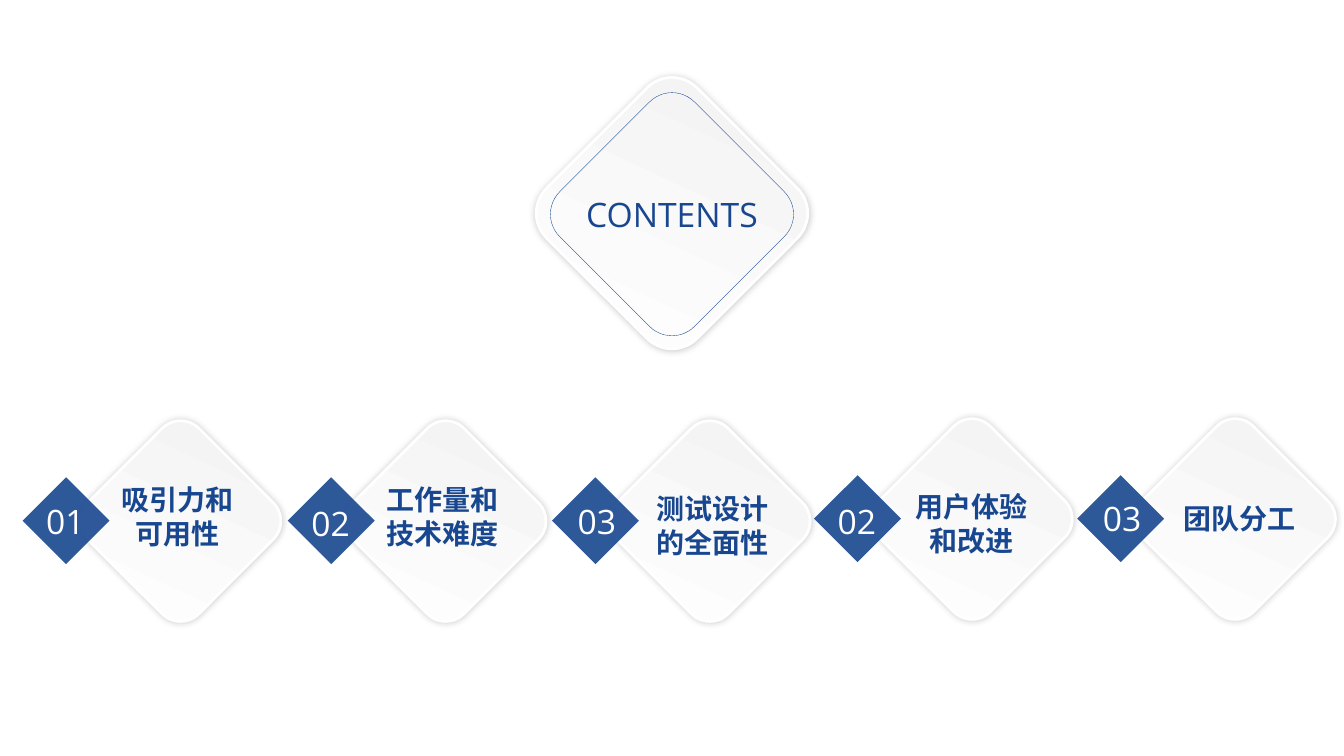
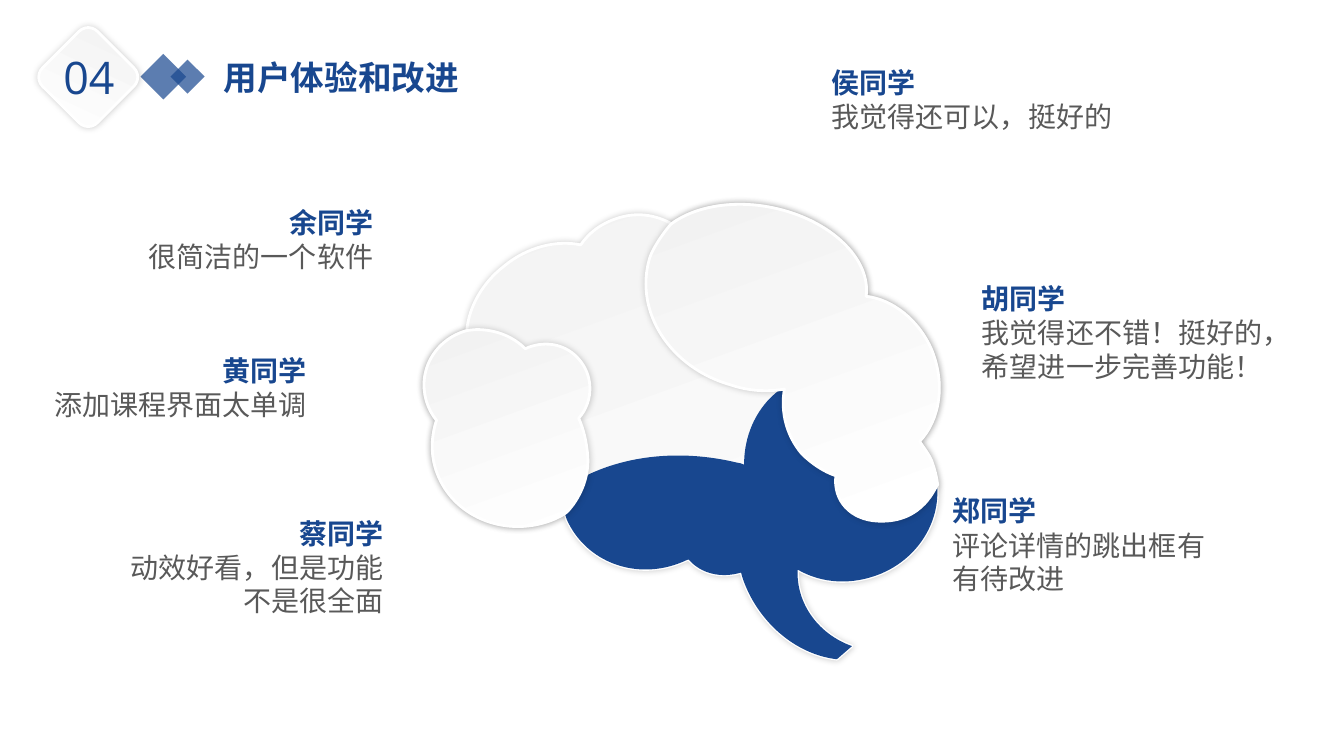
from pptx import Presentation
from pptx.dml.color import RGBColor
from pptx.enum import shapes as sh, text as tx
from pptx.oxml import parse_xml
from pptx.oxml.ns import qn
from pptx.util import Inches, Pt

BLUE = RGBColor(0x18, 0x47, 0x8F)
WHITE = RGBColor(0xFF, 0xFF, 0xFF)
PALE = RGBColor(0xF2, 0xF2, 0xF2)
GRAY = RGBColor(0x59, 0x59, 0x59)
SANS = "Open Sans"
BODY = "Roboto"
LEFT = tx.PP_ALIGN.LEFT
MID = tx.PP_ALIGN.CENTER
RIGHT = tx.PP_ALIGN.RIGHT
NS = 'xmlns:a="http://schemas.openxmlformats.org/drawingml/2006/main"'

ITEMS = [
    ("01", "吸引力和可用性", (1.01, 4.39), (0.36, 4.92), (1.02, 4.74)),
    ("02", "工作量和技术难度", (3.64, 4.39), (2.99, 4.94), (3.65, 4.74)),
    ("03", "测试设计的全面性", (6.26, 4.39), (5.63, 4.92), (6.33, 4.83)),
    ("02", "用户体验和改进", (8.86, 4.37), (8.21, 4.92), (8.9, 4.81)),
    ("03", "团队分工", (11.47, 4.37), (10.84, 4.89), (11.55, 4.93)),
]

QUOTES = [
    ("侯同学", "我觉得还可以，挺好的", 8.15, 0.6, 3.35, LEFT),
    ("郑同学", "评论详情的跳出框有有待改进", 9.35, 4.85, 2.72, LEFT),
    ("余同学", "很简洁的一个软件", 1.08, 1.99, 2.72, RIGHT),
    ("黄同学", "添加课程界面太单调", 0.42, 3.46, 2.72, RIGHT),
    ("蔡同学", "动效好看，但是功能不是很全面", 1.18, 5.07, 2.72, RIGHT),
    ("胡同学", "我觉得还不错！挺好的， 希望进一步完善功能！", 9.64, 2.74, 3.35, LEFT),
]

BROW = [
    (9.32, 4.17, 9.38, 3.81, 9.24, 3.47),
    (9.11, 3.17, 8.85, 2.97, 8.59, 2.94),
    (8.64, 2.57, 8.24, 2.18, 7.66, 2.06),
    (7.27, 1.98, 6.89, 2.05, 6.66, 2.22),
]
CROWN = [
    (6.5, 2.13, 6.31, 2.1, 6.11, 2.17),
    (5.96, 2.22, 5.84, 2.31, 5.76, 2.43),
    (5.52, 2.38, 5.23, 2.45, 5, 2.64),
    (4.78, 2.81, 4.65, 3.05, 4.63, 3.28),
]
NAPE = [
    (4.41, 3.34, 4.24, 3.52, 4.21, 3.75),
    (4.19, 3.91, 4.24, 4.06, 4.33, 4.17),
    (4.27, 4.35, 4.27, 4.55, 4.35, 4.73),
    (4.53, 5.15, 5.05, 5.34, 5.5, 5.15),
]
BASE = [
    (5.53, 5.13, 5.57, 5.12, 5.6, 5.09),
    (5.61, 5.12, 5.62, 5.14, 5.62, 5.15),
    (5.81, 5.58, 6.32, 5.77, 6.78, 5.57),
    (6.79, 5.56, 6.81, 5.56, 6.83, 5.55),
    (6.95, 5.69, 7.15, 5.74, 7.35, 5.68),
    (7.37, 5.76, 7.4, 5.83, 7.44, 5.91),
    (7.63, 6.27, 7.96, 6.5, 8.3, 6.54),
    (8.45, 6.41, 8.45, 6.41, 8.45, 6.41),
    (8.14, 6.3, 7.91, 6.02, 7.91, 5.68),
    (7.91, 5.67, 7.91, 5.66, 7.91, 5.65),
    (8.15, 5.79, 8.45, 5.81, 8.74, 5.69),
]
CHIN = [
    (9.19, 5.5, 9.42, 5, 9.23, 4.57),
    (9.21, 4.5, 9.16, 4.44, 9.12, 4.38),
]
STEM = [
    (9.21, 4.28, 9.28, 4.14, 9.3, 4),
    (8.72, 3.57, 8, 3.55, 7.61, 3.98),
    (7.46, 4.15, 7.38, 4.37, 7.38, 4.61),
    (7.36, 4.6, 7.33, 4.59, 7.31, 4.59),
    (6.44, 4.38, 5.6, 4.65, 5.23, 5.22),
    (5.32, 5.21, 5.41, 5.19, 5.5, 5.15),
]
FRONT = [
    (6.66, 2.21, 6.48, 2.43, 6.44, 2.57),
    (6.29, 3.1, 6.65, 3.65, 7.25, 3.82),
    (7.43, 3.88, 7.61, 3.89, 7.78, 3.86),
    (7.74, 4.09, 7.8, 4.32, 7.95, 4.5),
    (8.05, 4.6, 8.17, 4.68, 8.29, 4.72),
    (8.26, 4.97, 8.44, 5.16, 8.71, 5.17),
    (9.17, 5.19, 9.28, 4.81, 9.3, 4.81),
    (9.29, 4.73, 9.27, 4.65, 9.24, 4.57),
]
LOBE = [
    (5.89, 3.98, 5.89, 3.72, 5.73, 3.55),
    (5.59, 3.4, 5.38, 3.38, 5.21, 3.46),
    (5.09, 3.34, 4.92, 3.27, 4.73, 3.27),
    (4.7, 3.27, 4.63, 3.28, 4.63, 3.28),
]
TAIL = [
    (5.54, 5.13, 5.57, 5.12, 5.61, 5.09),
    (5.61, 5.1, 5.85, 4.87, 5.83, 4.53),
    (5.82, 4.39, 5.79, 4.26, 5.74, 4.15),
]


def glow(shape):
    shape.shadow.inherit = False
    shape._element.spPr.find(qn("a:effectLst")).append(parse_xml(
        f'<a:outerShdw {NS} blurRad="{Pt(5)}" dist="0" dir="0" algn="ctr" '
        'rotWithShape="0"><a:srgbClr val="000000"><a:alpha val="20000"/>'
        '</a:srgbClr></a:outerShdw>'))


def relief(shape):
    shape.fill.gradient()
    shape.fill.gradient_angle = 110
    for stop, tint in zip(shape.fill.gradient_stops, (WHITE, PALE)):
        stop.color.rgb = tint
    shape.line.color.rgb = WHITE
    shape.line.width = Pt(2)
    glow(shape)


def solid(shape, alpha=100):
    shape.fill.solid()
    shape.fill.fore_color.rgb = BLUE
    shape.line.fill.background()
    shape.shadow.inherit = False
    if alpha < 100:
        tint = shape._element.spPr.find(qn("a:solidFill"))[0]
        tint.append(parse_xml(f'<a:alpha {NS} val="{alpha * 1000}"/>'))


def square(slide, kind, x, y, size, turn):
    shape = slide.shapes.add_shape(
        kind, Inches(x), Inches(y), Inches(size), Inches(size))
    shape.rotation = turn
    return shape


def tile(slide, x, y, size):
    shape = square(slide, sh.MSO_SHAPE.ROUNDED_RECTANGLE, x, y, size, 45)
    relief(shape)


def badge(slide, x, y, size, alpha):
    shape = square(slide, sh.MSO_SHAPE.RECTANGLE, x, y, size, 225)
    solid(shape, alpha)


def label(host, words, x, y, w, h, size, tint=BLUE, face=SANS,
          bold=False, align=LEFT, wrap=True):
    box = host.shapes.add_textbox(Inches(x), Inches(y), Inches(w), Inches(h))
    frame = box.text_frame
    frame.word_wrap = wrap
    frame.auto_size = tx.MSO_AUTO_SIZE.SHAPE_TO_FIT_TEXT
    para = frame.paragraphs[0]
    para.text = words
    para.alignment = align
    font = para.font
    font.name, font.size, font.bold = face, Pt(size), bold
    font.color.rgb = tint


def bend(shape):
    legs = list(shape._element.iter(qn("a:lnTo")))
    for first, second, third in zip(legs[::3], legs[1::3], legs[2::3]):
        curve = parse_xml(f"<a:cubicBezTo {NS}/>")
        first.addprevious(curve)
        for leg in (first, second, third):
            curve.append(leg[0])
            leg.getparent().remove(leg)


def blob(slide, start, curves):
    dots = [(Inches(c[i]), Inches(c[i + 1])) for c in curves for i in (0, 2, 4)]
    pen = slide.shapes.build_freeform(Inches(start[0]), Inches(start[1]))
    pen.add_line_segments(dots, close=True)
    shape = pen.convert_to_shape()
    bend(shape)
    return shape


def quote(slide, name, words, x, y, w, align):
    group = slide.shapes.add_group_shape()
    label(group, words, x, y + 0.34, w, 0.44, 20, GRAY, BODY, align=align)
    left = x if align == LEFT else x + w - 1.48
    label(group, name, left, y, 1.48, 0.44, 20, face=BODY, bold=True,
          align=align)


def agenda(slide):
    tile(slide, 5.61, 1.06, 2.11)
    ring = square(slide, sh.MSO_SHAPE.ROUNDED_RECTANGLE, 5.72, 1.18, 1.89, 45)
    ring.fill.background()
    ring.line.color.rgb = BLUE
    ring.line.width = Pt(0.25)
    ring.shadow.inherit = False
    label(slide, "CONTENTS", 5.41, 1.87, 2.51, 0.5, 24, align=MID)
    for num, words, (x, y), spot, place in ITEMS:
        tile(slide, x, y, 1.56)
        badge(slide, x - 0.66, y + 0.47, 0.61, 90)
        label(slide, num, *spot, 0.59, 0.5, 24, WHITE, wrap=False)
        label(slide, words, *place, 1.48, 0.77, 20, bold=True, align=MID)


def header(slide, num, words):
    badge(slide, 1.46, 0.6, 0.32, 70)
    badge(slide, 1.74, 0.64, 0.24, 70)
    label(slide, words, 2.12, 0.52, 2.65, 0.5, 24, bold=True)
    tile(slide, 0.49, 0.38, 0.77)
    label(slide, num, 0.53, 0.44, 0.85, 0.64, 32, wrap=False)


def brain(slide):
    relief(blob(slide, (9.12, 4.38), BROW + CROWN + NAPE + BASE + CHIN))
    solid(blob(slide, (8.74, 5.69), CHIN + STEM + BASE))
    relief(blob(slide, (9.12, 4.38), BROW + FRONT + CHIN[1:]))
    relief(blob(slide, (5.74, 4.15), LOBE + NAPE + TAIL))


def main():
    deck = Presentation()
    deck.slide_width, deck.slide_height = Inches(13.33), Inches(7.5)
    blank = deck.slide_layouts[6]
    agenda(deck.slides.add_slide(blank))
    slide = deck.slides.add_slide(blank)
    brain(slide)
    header(slide, "04", "用户体验和改进")
    for item in QUOTES:
        quote(slide, *item)
    deck.save("out.pptx")


if __name__ == "__main__":
    main()
